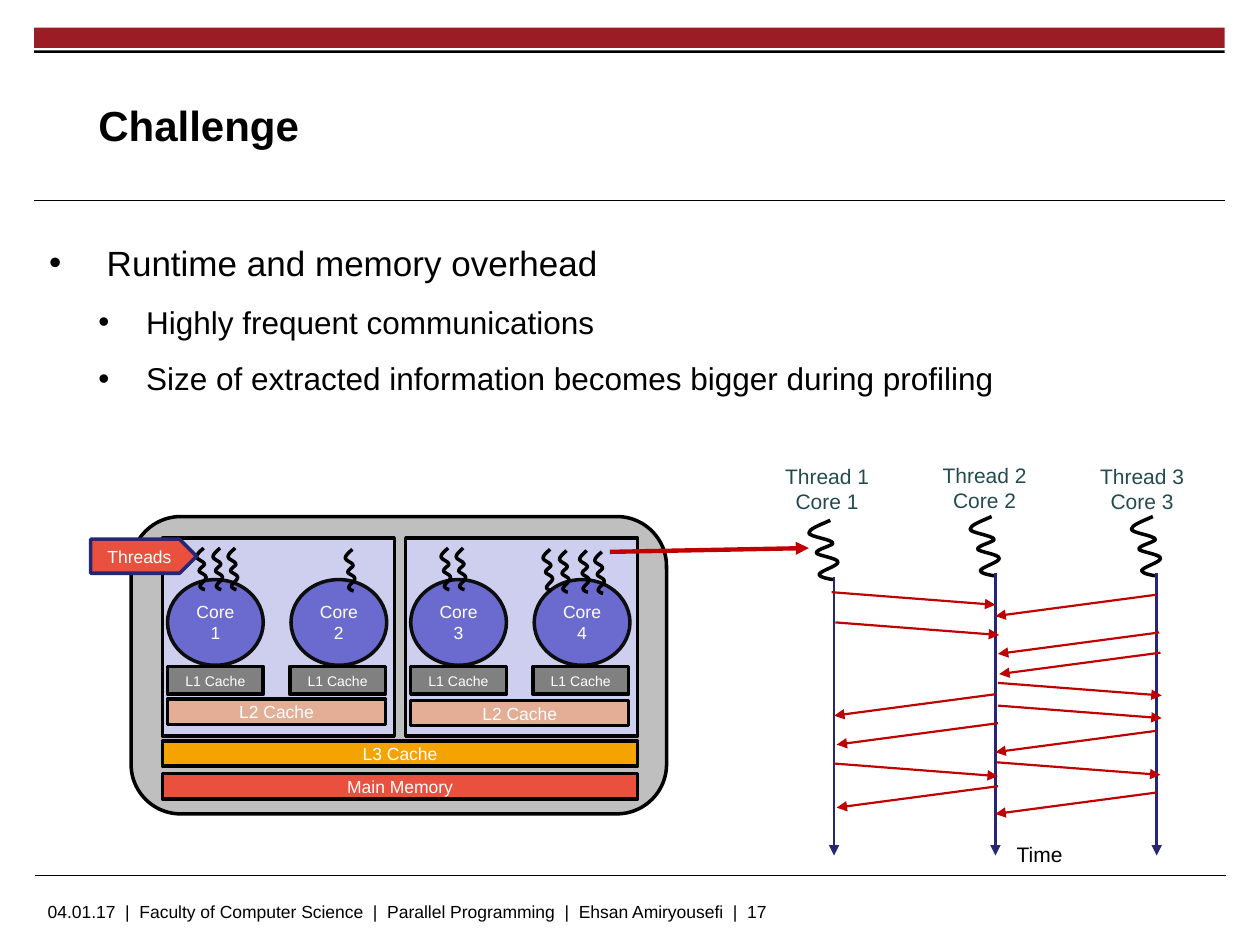
from dataclasses import dataclass

from lxml import etree
from pptx import Presentation
from pptx.dml.color import RGBColor
from pptx.enum.shapes import MSO_CONNECTOR, MSO_SHAPE
from pptx.enum.text import MSO_ANCHOR, MSO_AUTO_SIZE, PP_ALIGN
from pptx.oxml.ns import qn
from pptx.util import Inches, Pt

STRAIGHT = MSO_CONNECTOR.STRAIGHT
RECTANGLE = MSO_SHAPE.RECTANGLE
ROUNDED = MSO_SHAPE.ROUNDED_RECTANGLE
OVAL = MSO_SHAPE.OVAL
TAG = MSO_SHAPE.PENTAGON
MIDDLE, TOP = MSO_ANCHOR.MIDDLE, MSO_ANCHOR.TOP
LEFT, CENTER = PP_ALIGN.LEFT, PP_ALIGN.CENTER


@dataclass(frozen=True)
class Theme:
    font: str = "Arial"
    black: str = "000000"
    white: str = "FFFFFF"
    banner: str = "9C1C26"
    navy: str = "262673"
    message: str = "C00000"
    thread_label: str = "224B50"
    machine: str = "BFBFBF"
    chip: str = "CECEEF"
    core: str = "6B6BCF"
    core_edge: str = "0D0D0D"
    l1: str = "808080"
    l2: str = "E3AE95"
    l3: str = "F5A300"
    memory: str = "E9503E"
    title_size: int = 24
    bullet_size: int = 20
    sub_bullet_size: int = 18
    label_size: int = 12
    small_size: int = 10
    tiny_size: int = 8


THEME = Theme()
SQUIGGLE_WIDTH, SQUIGGLE_HEIGHT = 0.24, 0.47
SQUIGGLE = [
    (0.17, 0), (0.08, 0.04), (0, 0.07), (0, 0.10),
    (0, 0.13), (0.18, 0.15), (0.19, 0.18),
    (0.20, 0.20), (0.05, 0.23), (0.06, 0.26),
    (0.07, 0.28), (0.23, 0.30), (0.23, 0.33),
    (0.24, 0.36), (0.09, 0.40), (0.08, 0.43),
    (0.08, 0.45), (0.17, 0.47), (0.20, 0.47),
]
LIFELINES = [(6.62, 4.58), (7.90, 4.55), (9.18, 4.55)]
MESSAGES_RIGHT = [(6.60, 4.70), (6.63, 4.94), (7.92, 5.42),
                  (7.92, 5.60), (6.62, 6.06), (7.91, 6.05)]
MESSAGES_LEFT = [(9.18, 4.72), (9.20, 5.02), (9.21, 5.18), (7.90, 5.51),
                 (9.18, 5.80), (7.92, 5.74), (7.92, 6.24), (9.18, 6.29)]
CORE_THREADS = [(1.56, 4.35), (1.69, 4.35), (1.81, 4.35), (2.74, 4.36),
                (3.50, 4.35), (3.62, 4.35), (4.31, 4.36), (4.44, 4.37),
                (4.60, 4.37), (4.72, 4.38)]


def color(code):
    return RGBColor.from_string(code)


def add_span(para, text, size, code, bold=False):
    span = para.add_run()
    span.text = text
    span.font.name = THEME.font
    span.font.size = Pt(size)
    span.font.bold = bold
    span.font.color.rgb = color(code)


def set_indent(para, margin, hanging):
    properties = para._p.get_or_add_pPr()
    properties.set("marL", str(Inches(margin)))
    properties.set("indent", str(-Inches(hanging)))
    return properties


def place(shape, at):
    shape.left, shape.top, shape.width, shape.height = map(Inches, at)


def add_text(page, at, lines, size, code, align=LEFT, wrap=True):
    box = page.shapes.add_textbox(*map(Inches, at))
    frame = box.text_frame
    frame.word_wrap = wrap
    for index, line in enumerate(lines):
        para = frame.add_paragraph() if index else frame.paragraphs[0]
        para.alignment = align
        add_span(para, line, size, code)


def add_block(page, kind, at, fill, edge=None, text="", size=THEME.small_size):
    block = page.shapes.add_shape(kind, *map(Inches, at))
    block.shadow.inherit = False
    block.fill.solid()
    block.fill.fore_color.rgb = color(fill)
    if edge:
        block.line.color.rgb = color(edge)
        block.line.width = Pt(2)
    else:
        block.line.fill.background()
    if text:
        frame = block.text_frame
        frame.word_wrap = True
        frame.vertical_anchor = MIDDLE
        frame.paragraphs[0].alignment = CENTER
        add_span(frame.paragraphs[0], text, size, THEME.white)


def add_line(page, start, end, code, width, arrow=True):
    line = page.shapes.add_connector(STRAIGHT, *map(Inches, (*start, *end)))
    line.line.color.rgb = color(code)
    line.line.width = Pt(width)
    if arrow:
        etree.SubElement(line.line._get_or_add_ln(), qn("a:tailEnd"), type="triangle")
    etree.SubElement(line._element.spPr, qn("a:effectLst"))


def curve_segments(shape):
    segments = list(shape._element.iter(qn("a:lnTo")))
    for first in range(0, len(segments), 3):
        curve = etree.Element(qn("a:cubicBezTo"))
        segments[first].addprevious(curve)
        for segment in segments[first:first + 3]:
            curve.append(segment[0])
            segment.getparent().remove(segment)


def add_squiggle(page, left, top, width=SQUIGGLE_WIDTH, height=SQUIGGLE_HEIGHT):
    points = [(Inches(left + x * width / SQUIGGLE_WIDTH),
               Inches(top + y * height / SQUIGGLE_HEIGHT)) for x, y in SQUIGGLE]
    builder = page.shapes.build_freeform(*points[0])
    builder.add_line_segments(points[1:], close=False)
    squiggle = builder.convert_to_shape()
    curve_segments(squiggle)
    squiggle.shadow.inherit = False
    squiggle.fill.background()
    squiggle.line.color.rgb = color(THEME.black)
    squiggle.line.width = Pt(2)


def add_frame(page):
    add_block(page, RECTANGLE, (0.27, 0.22, 9.45, 0.16), THEME.banner)
    add_line(page, (0.27, 1.59), (9.72, 1.59), THEME.black, 0.6, arrow=False)
    add_block(page, RECTANGLE, (0.27, 0.4, 9.45, 0.02), THEME.black)
    add_line(page, (0.28, 6.95), (9.73, 6.95), THEME.black, 0.6, arrow=False)
    footer = ("04.01.17  |  Faculty of Computer Science  |  Parallel Programming"
              "  |  Ehsan Amiryousefi  |  17")
    add_text(page, (0.28, 7.1, 7.88, 0.25), [footer], THEME.small_size, THEME.black)


def add_title(page, text):
    title = page.shapes.title
    place(title, (0.39, 0.53, 7.26, 0.92))
    frame = title.text_frame
    frame.margin_left = frame.margin_right = frame.margin_top = frame.margin_bottom = 0
    frame.vertical_anchor = MIDDLE
    frame.auto_size = MSO_AUTO_SIZE.NONE
    para = frame.paragraphs[0]
    para.alignment = LEFT
    set_indent(para, 0.77, 0.38)
    add_span(para, text, THEME.title_size, THEME.black, bold=True)


def add_bullets(page, items):
    box = page.shapes.add_textbox(*map(Inches, (0.39, 1.77, 9.02, 5.05)))
    frame = box.text_frame
    frame.word_wrap = True
    frame.vertical_anchor = TOP
    frame.margin_left = frame.margin_right = 0
    for index, (level, text) in enumerate(items):
        para = frame.add_paragraph() if index else frame.paragraphs[0]
        para.level = level
        para.line_spacing = 1.3
        para.space_before, para.space_after = Pt(2), Pt(2.3)
        properties = set_indent(para, 0.77 if level else 0.38, 0.38)
        etree.SubElement(properties, qn("a:buFont"), typeface=THEME.font)
        etree.SubElement(properties, qn("a:buChar"), char="•")
        add_span(para, text, THEME.sub_bullet_size if level else THEME.bullet_size, THEME.black)


def add_timeline(page):
    for index, (x, top) in enumerate(LIFELINES):
        add_squiggle(page, x - 0.2, top - 0.45)
        add_line(page, (x, top), (x, 6.79), THEME.navy, 1.5)
    for starts, run, drop in ((MESSAGES_RIGHT, 1.3, 0.1), (MESSAGES_LEFT, -1.28, 0.17)):
        for x, y in starts:
            add_line(page, (x, y), (x + run, y + drop), THEME.message, 1.25)
    for index, top in enumerate((3.63, 3.62, 3.63)):
        add_text(page, (6.13 + 1.25 * index, top, 0.87, 0.5),
                 [f"Thread {index + 1}", f"Core {index + 1}"],
                 THEME.label_size, THEME.thread_label, CENTER, wrap=False)


def add_processor(page):
    black = THEME.black
    add_block(page, ROUNDED, (1.04, 4.1, 4.25, 2.36), THEME.machine, black)
    for chip, l2_top in enumerate((5.55, 5.56)):
        left = 1.29 + 1.93 * chip
        add_block(page, RECTANGLE, (left, 4.27, 1.84, 1.57), THEME.chip, black)
        for core in range(2):
            add_block(page, OVAL, (left + 0.04 + 0.98 * core, 4.6, 0.76, 0.68),
                      THEME.core, THEME.core_edge, f"Core {2 * chip + core + 1}")
            add_block(page, RECTANGLE, (left + 0.04 + 0.97 * core, 5.29, 0.76, 0.22),
                      THEME.l1, black, "L1 Cache", THEME.tiny_size)
        add_block(page, RECTANGLE, (left + 0.04, l2_top, 1.73, 0.2), THEME.l2, black, "L2 Cache")
    add_block(page, RECTANGLE, (1.29, 5.88, 3.77, 0.2), THEME.l3, black, "L3 Cache")
    add_block(page, RECTANGLE, (1.29, 6.14, 3.77, 0.2), THEME.memory, black, "Main Memory")
    for left, top in CORE_THREADS:
        add_squiggle(page, left, top, 0.08, 0.33)
    add_block(page, TAG, (0.72, 4.28, 0.84, 0.27), THEME.memory, THEME.navy, "Threads")


def main():
    deck = Presentation()
    deck.slide_width, deck.slide_height = Inches(10), Inches(7.5)
    page = deck.slides.add_slide(deck.slide_layouts[5])
    add_frame(page)
    add_title(page, "Challenge")
    add_bullets(page, [
        (0, " Runtime and memory overhead"),
        (1, "Highly frequent communications"),
        (1, "Size of extracted information becomes bigger during profiling"),
    ])
    add_timeline(page)
    add_processor(page)
    add_text(page, (7.97, 6.63, 0.59, 0.3), ["Time"], THEME.label_size, THEME.black)
    add_line(page, (4.84, 4.38), (6.42, 4.35), THEME.message, 2.5)
    deck.save("out.pptx")


if __name__ == "__main__":
    main()
